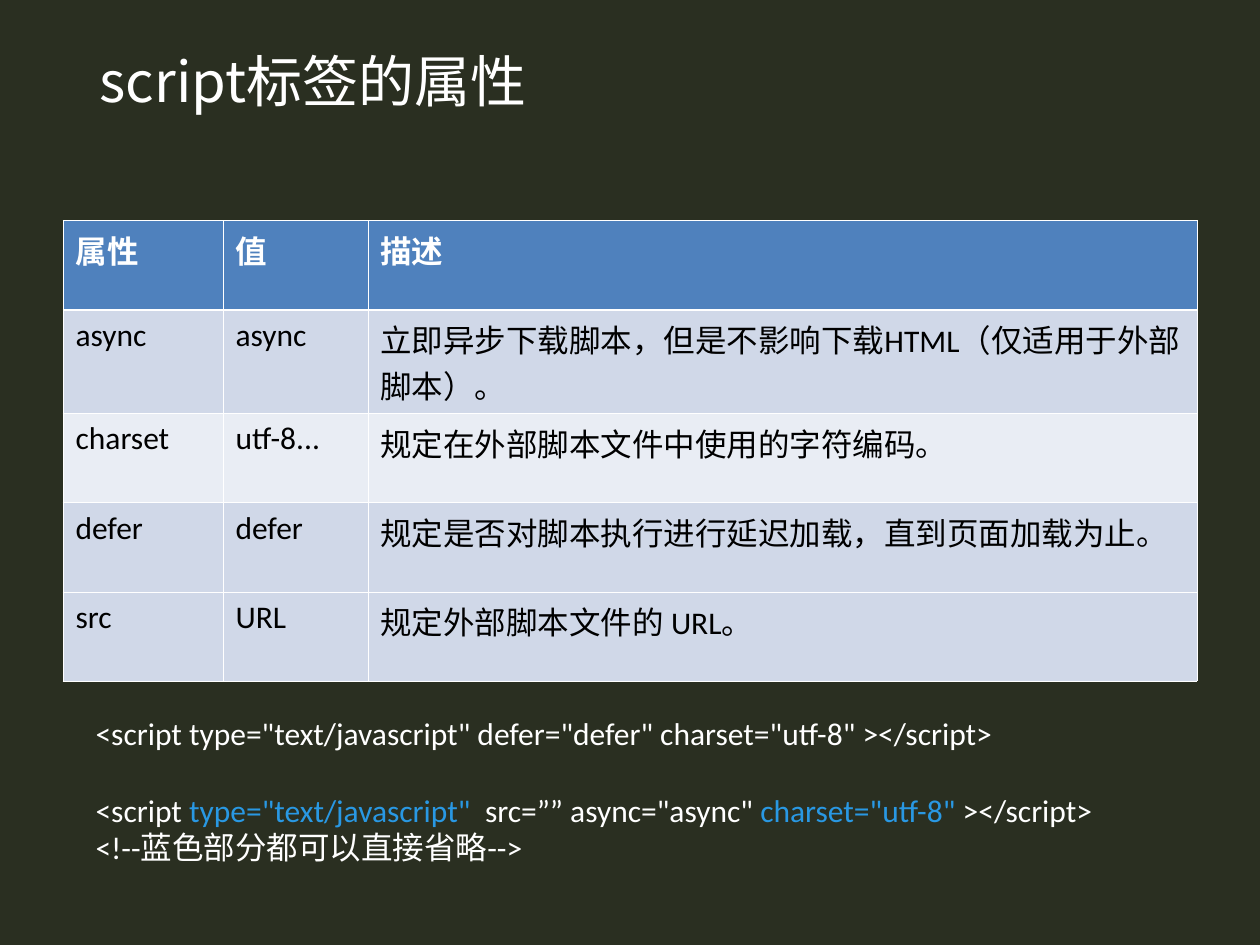
from lxml.etree import SubElement
from pptx import Presentation
from pptx.dml.color import RGBColor
from pptx.enum.text import MSO_ANCHOR as Anchor, MSO_AUTO_SIZE as AutoSize, PP_ALIGN as Align
from pptx.oxml.ns import qn
from pptx.util import Inches, Pt

LATIN, CJK = "Calibri", "Noto Sans CJK SC"
WHITE, BLACK, BLUE = "FFFFFF", "000000", "2998E3"
HEADER, BAND, LIGHT = "4F81BD", "D0D8E8", "E9EDF4"

ROWS = [
    ("属性", "值", "描述"),
    ("async", "async", "立即异步下载脚本，但是不影响下载HTML（仅适用于外部脚本）。"),
    ("charset", "utf-8...", "规定在外部脚本文件中使用的字符编码。"),
    ("defer", "defer", "规定是否对脚本执行进行延迟加载，直到页面加载为止。"),
    ("src", "URL", "规定外部脚本文件的 URL。"),
]
ROW_FILLS = [HEADER, BAND, LIGHT, BAND, BAND]
COL_WIDTHS = [1.27, 1.15, 6.58]

CODE = [
    (0, [('<script type="text/javascript" defer="defer" charset="utf-8" ></script>', WHITE)]),
    (22, [("<script ", WHITE), ('type="text/javascript"  ', BLUE),
          ('src=”” async="async" ', WHITE), ('charset="utf-8"', BLUE),
          (" ></script>", WHITE)]),
    (0, [("<!--蓝色部分都可以直接省略-->", WHITE)]),
]


def rgb(color):
    return RGBColor.from_string(color)


def add_text(p, text, size=18, color=WHITE, bold=False, font=LATIN):
    r = p.add_run()
    r.text = text
    r.font.name = font
    r.font.size = Pt(size)
    r.font.bold = bold
    r.font.color.rgb = rgb(color)
    SubElement(r.font._element, qn("a:ea"), typeface=CJK)


def set_border(cell, side, width):
    tcPr = cell._tc.get_or_add_tcPr()
    ln = SubElement(tcPr, qn(f"a:ln{side}"), w=str(Pt(width)))
    SubElement(SubElement(ln, qn("a:solidFill")), qn("a:srgbClr"), val=WHITE)


def add_title(slide, left, top, width, height):
    sp = slide.shapes.title
    sp.left, sp.top, sp.width, sp.height = left, top, width, height
    tf = sp.text_frame
    tf.vertical_anchor = Anchor.MIDDLE
    p = tf.paragraphs[0]
    p.alignment = Align.LEFT
    p.line_spacing = 0.9
    add_text(p, "script标签的属性", size=32, font=CJK)


def add_attribute_table(slide, left, top, width, height):
    table = slide.shapes.add_table(len(ROWS), len(COL_WIDTHS), left, top, width, height).table
    for column, col_width in zip(table.columns, COL_WIDTHS):
        column.width = Inches(col_width)
    for i, (row, fill) in enumerate(zip(ROWS, ROW_FILLS)):
        header = i == 0
        for j, text in enumerate(row):
            cell = table.cell(i, j)
            for side in "LRTB":
                thick = (i, side) in ((0, "B"), (1, "T"))
                set_border(cell, side, 1.47 if thick else 0.45)
            cell.fill.solid()
            cell.fill.fore_color.rgb = rgb(fill)
            add_text(cell.text_frame.paragraphs[0], text,
                     color=WHITE if header else BLACK, bold=header)


def add_code(slide, left, top, width, height):
    tf = slide.shapes.add_textbox(left, top, width, height).text_frame
    tf.word_wrap = True
    tf.auto_size = AutoSize.SHAPE_TO_FIT_TEXT
    for i, (gap, parts) in enumerate(CODE):
        p = tf.add_paragraph() if i else tf.paragraphs[0]
        if gap:
            p.space_before = Pt(gap)
        for text, color in parts:
            add_text(p, text, color=color)


def main():
    prs = Presentation()
    prs.slide_width, prs.slide_height = Inches(10), Inches(7.5)
    slide = prs.slides.add_slide(prs.slide_layouts[5])
    slide.background.fill.solid()
    slide.background.fill.fore_color.rgb = rgb("2A2F21")
    add_title(slide, Inches(0.69), Inches(0.22), Inches(8.63), Inches(0.9))
    add_attribute_table(slide, Inches(0.5), Inches(1.75), Inches(9), Inches(3.54))
    add_code(slide, Inches(0.66), Inches(5.62), Inches(8.68), Inches(1.3))
    prs.save("out.pptx")


if __name__ == "__main__":
    main()
